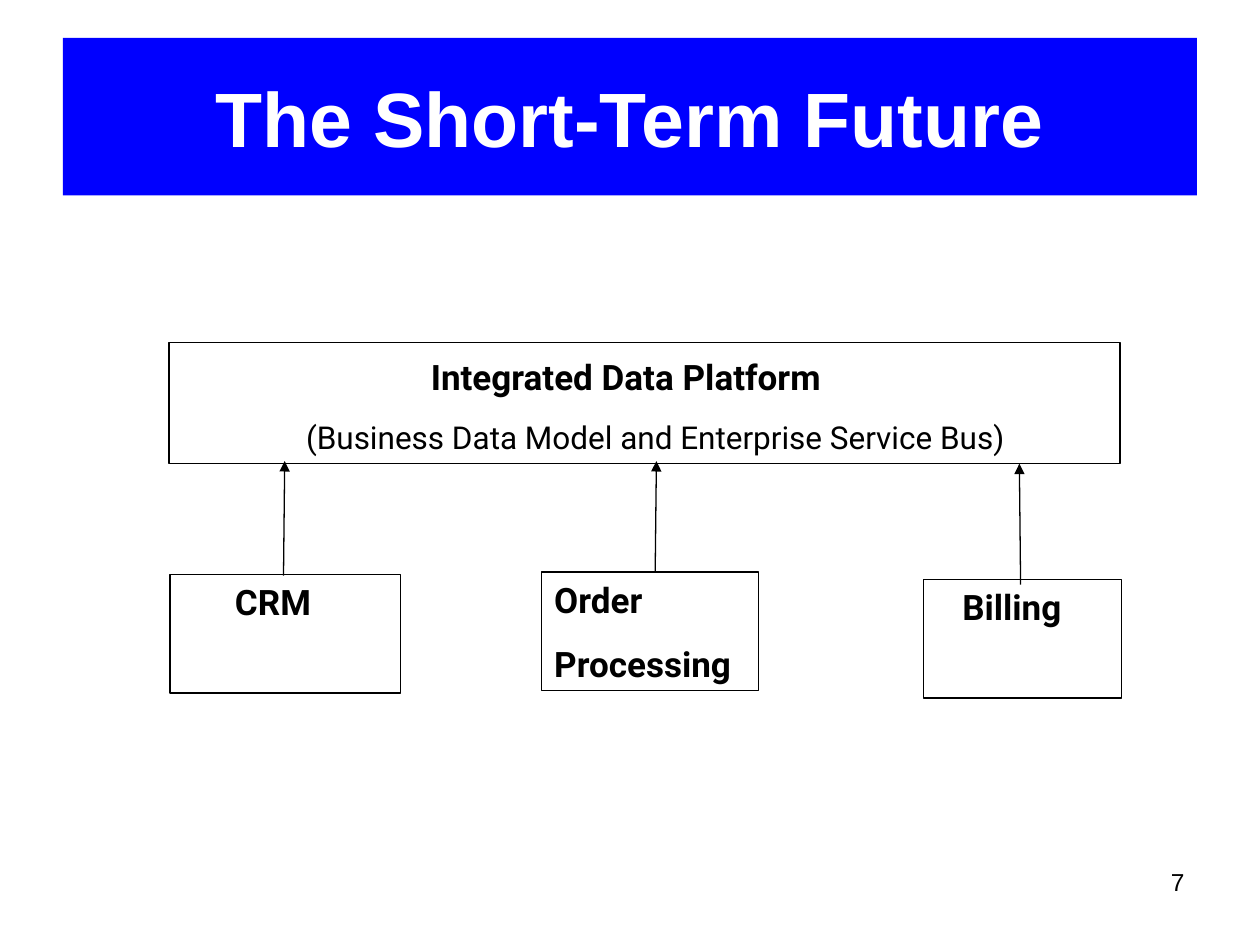
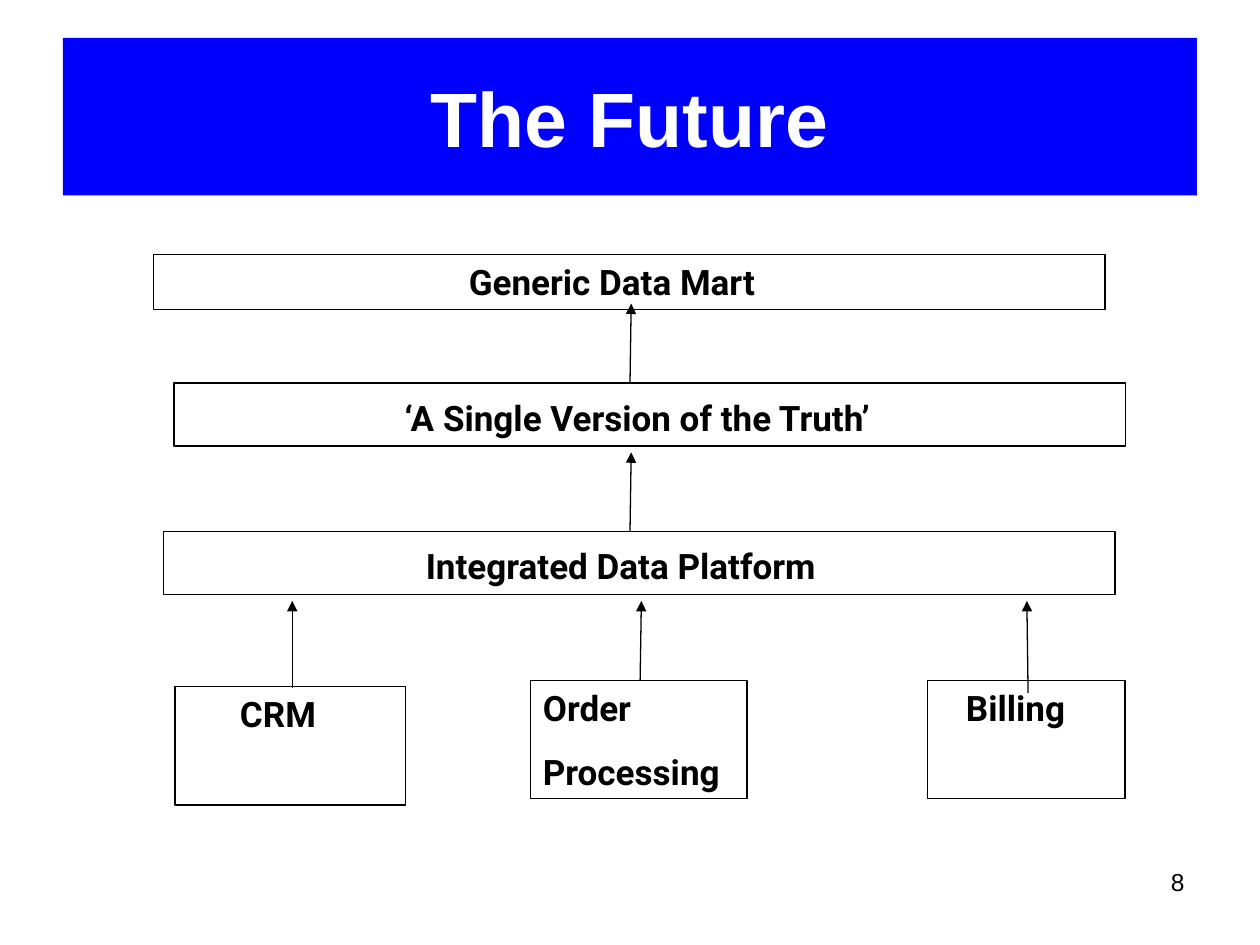
import pptx
import pptx.dml.color
import pptx.enum.shapes
import pptx.enum.text
import pptx.oxml
import pptx.oxml.ns
import pptx.util
from lxml import etree

Pt = pptx.util.Pt
ALIGN = pptx.enum.text.PP_ALIGN
ANCHOR = pptx.enum.text.MSO_ANCHOR
RECTANGLE = pptx.enum.shapes.MSO_SHAPE.RECTANGLE

# Shared style
BLUE, WHITE, BLACK = "0000FF", "FFFFFF", "000000"
TITLE_FONT, BOX_FONT = "Arial", "Roboto"
LINE_WIDTH = 0.75
LAYER_WIDTH = 543.6
SYSTEM_HEIGHT = 67.7

# Source systems: width, indent and lines of the label
SYSTEMS = {
    "crm": (131.8, 30, ["CRM"]),
    "orders": (123.8, 0, ["Order", "Processing"]),
    "billing": (113, 15, ["Billing"]),
}


def color(hex_code):
    return pptx.dml.color.RGBColor.from_string(hex_code)


def style_text(paragraph, font_name, size, hex_code, bold=False, align=ALIGN.LEFT):
    paragraph.alignment = align
    for run in paragraph.runs:
        run.font.name = font_name
        run.font.size = Pt(size)
        run.font.bold = bold
        run.font.color.rgb = color(hex_code)


def add_rectangle(slide, left, top, width, height):
    rectangle = slide.shapes.add_shape(
        RECTANGLE, Pt(left), Pt(top), Pt(width), Pt(height))
    rectangle.shadow.inherit = False
    rectangle.text_frame.word_wrap = True
    return rectangle


def add_title(slide, title):
    band = add_rectangle(slide, 36, 21.6, 648, 90)
    band.fill.solid()
    band.fill.fore_color.rgb = color(BLUE)
    band.line.fill.background()
    band.text_frame.vertical_anchor = ANCHOR.MIDDLE
    band.text_frame.text = title
    style_text(band.text_frame.paragraphs[0], TITLE_FONT, 44, WHITE, True, ALIGN.CENTER)


def add_page_number(slide, number):
    footer = slide.shapes.add_textbox(Pt(516.2), Pt(491.8), Pt(167.8), Pt(37.4))
    footer.text_frame.word_wrap = True
    footer.text_frame.text = str(number)
    style_text(footer.text_frame.paragraphs[0], TITLE_FONT, 14, BLACK, align=ALIGN.RIGHT)


def add_box(slide, left, top, width, height, lines, drop=0):
    """Outlined box; each line is (text, size, bold, indent)."""
    box = add_rectangle(slide, left, top, width, height)
    box.fill.background()
    box.line.color.rgb = color(BLACK)
    box.line.width = Pt(LINE_WIDTH)
    frame = box.text_frame
    frame.vertical_anchor = ANCHOR.TOP
    frame.margin_top = Pt(3.6 + drop)
    frame.text = "\n".join(line[0] for line in lines)
    for paragraph, (_, size, bold, indent) in zip(frame.paragraphs, lines):
        paragraph.space_before = Pt(size * 0.625)
        style_text(paragraph, BOX_FONT, size, BLACK, bold)
        paragraph._p.get_or_add_pPr().set("marL", str(Pt(indent)))


def add_layer(slide, left, top, height, label, indent, drop=4, note=None):
    lines = [(label, 20, True, indent)]
    if note:
        lines.append((note, 18, False, 71.3))
    add_box(slide, left, top, LAYER_WIDTH, height, lines, drop)


def add_system(slide, system, left, top):
    width, indent, labels = SYSTEMS[system]
    lines = [(label, 20, True, indent) for label in labels]
    add_box(slide, left, top, width, SYSTEM_HEIGHT, lines)


def add_arrow(slide, x1, y1, x2, y2):
    arrow = slide.shapes.add_connector(
        pptx.enum.shapes.MSO_CONNECTOR.STRAIGHT, Pt(x1), Pt(y1), Pt(x2), Pt(y2))
    arrow.line.color.rgb = color(BLACK)
    arrow.line.width = Pt(LINE_WIDTH)
    qn = pptx.oxml.ns.qn
    etree.SubElement(arrow.line._get_or_add_ln(), qn("a:tailEnd"), type="triangle")
    etree.SubElement(arrow._element.spPr, qn("a:effectLst"))


def add_flow(slide, systems, arrows):
    for system, left, top in systems:
        add_system(slide, system, left, top)
    for arrow in arrows:
        add_arrow(slide, *arrow)


def start_slide(deck, title, number):
    slide = deck.slides.add_slide(deck.slide_layouts[6])
    add_title(slide, title)
    add_page_number(slide, number)
    return slide


def build_short_term(deck):
    slide = start_slide(deck, "The Short-Term Future", 7)
    add_layer(slide, 96.5, 195.8, 69.1, "Integrated Data Platform", 142.6,
              note="(Business Data Model and Enterprise Service Bus)")
    add_flow(
        slide,
        [("crm", 97.2, 328.3), ("orders", 309.6, 326.9), ("billing", 527.8, 331.2)],
        [(162, 329, 162.7, 263.5),
         (374.4, 326.2, 375.1, 263.5),
         (583.2, 334.1, 582.5, 265)])


def build_future(deck):
    slide = start_slide(deck, "The Future", 8)
    # Layers from top to bottom
    add_layer(slide, 87.8, 145.4, 31.7, "Generic Data Mart", 173, drop=0)
    add_layer(slide, 99.4, 218.9, 36, "‘A Single Version of the Truth’", 124.7)
    add_layer(slide, 93.6, 303.8, 36, "Integrated Data Platform", 142.6)
    # Systems feeding the platform, then the links between layers
    add_flow(
        slide,
        [("crm", 100.1, 392.4), ("orders", 303.1, 388.8), ("billing", 529.9, 388.8)],
        [(167, 393.1, 167, 343.4),
         (365.8, 388.8, 366.5, 343.4),
         (587.5, 396, 586.8, 343.4),
         (360, 303.8, 360.7, 258.5),
         (360, 218.9, 360.7, 173.5)])


def main():
    deck = pptx.Presentation()
    deck.slide_width, deck.slide_height = Pt(720), Pt(540)
    build_short_term(deck)
    build_future(deck)
    deck.save("out.pptx")


if __name__ == "__main__":
    main()
